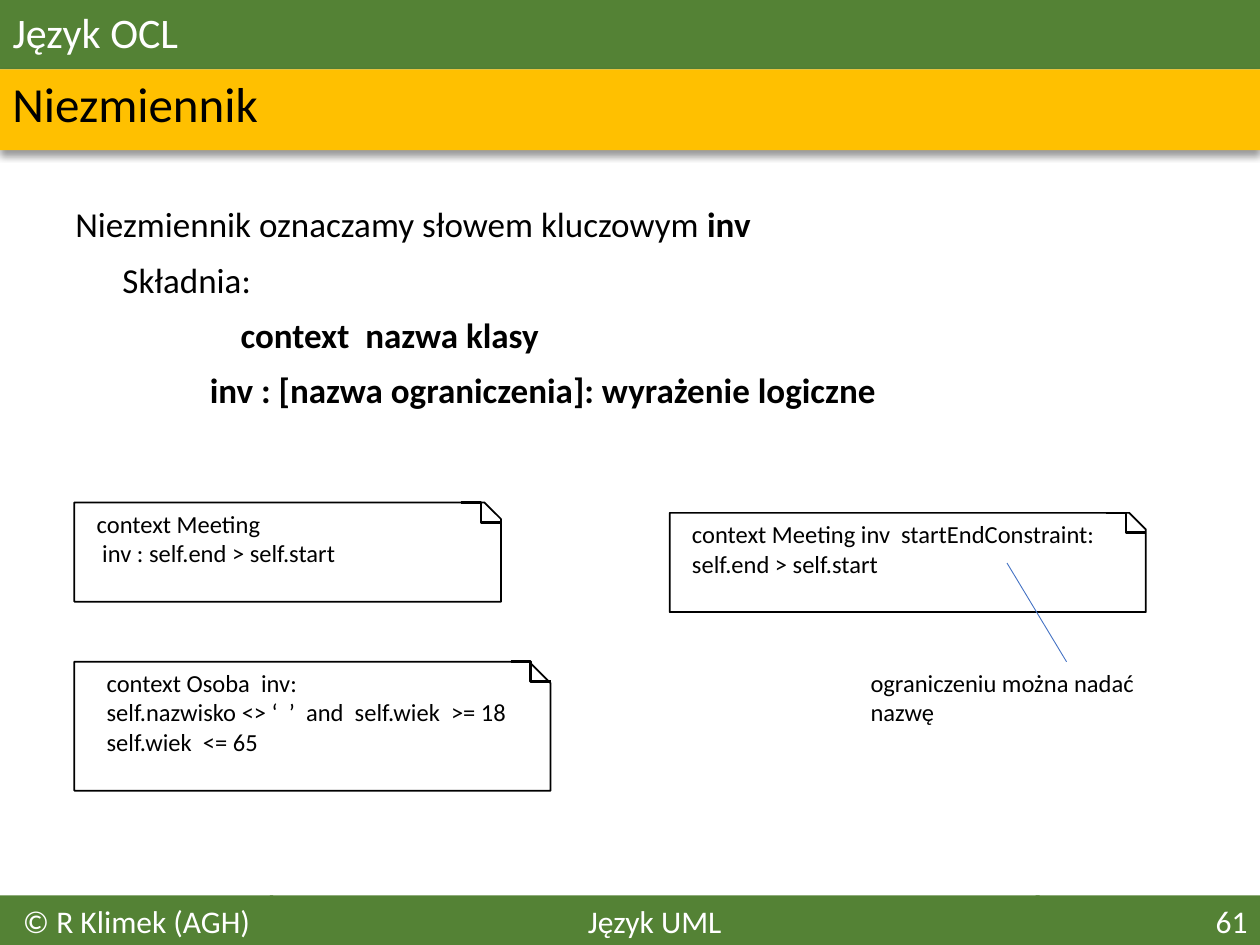
import pptx
import pptx.util
import pptx.dml.color
import pptx.enum.shapes
import pptx.enum.text
import pptx.oxml
import pptx.oxml.ns
import pptx.oxml.xmlchemy

Cm, Pt = pptx.util.Cm, pptx.util.Pt
RGB = pptx.dml.color.RGBColor
SHAPE = pptx.enum.shapes.MSO_SHAPE
LINK = pptx.enum.shapes.MSO_CONNECTOR
ALIGN = pptx.enum.text.PP_ALIGN
ANCHOR = pptx.enum.text.MSO_ANCHOR

GREEN = RGB(0x54, 0x82, 0x35)
AMBER = RGB(0xFF, 0xC0, 0x00)
BLUE = RGB(0x44, 0x72, 0xC4)
BLACK = RGB(0, 0, 0)
WHITE = RGB(0xFF, 0xFF, 0xFF)

NS = pptx.oxml.ns.nsdecls("a")
NO_SHADOW = f"<a:effectLst {NS}/>"
SHADOW = (
    f"<a:effectLst {NS}>"
    '<a:outerShdw blurRad="50800" dist="38100" dir="5400000" rotWithShape="0">'
    '<a:srgbClr val="000000"><a:alpha val="40000"/></a:srgbClr>'
    "</a:outerShdw></a:effectLst>"
)


def write(sp, lines, size, color=BLACK, anchor=ANCHOR.TOP, **para):
    tf = sp.text_frame
    tf.word_wrap = True
    tf.vertical_anchor = anchor
    for i, runs in enumerate(lines):
        p = tf.paragraphs[0] if i == 0 else tf.add_paragraph()
        fmt = {"alignment": ALIGN.LEFT, **para}
        if i == 0:
            fmt.pop("space_before", None)
        for key, value in fmt.items():
            setattr(p, key, value)
        for text, bold in runs:
            r = p.add_run()
            r.text = text
            for key, value in {"name": "Calibri", "size": Pt(size), "bold": bold}.items():
                setattr(r.font, key, value)
            r.font.color.rgb = color


def connect(kind, x1, y1, x2, y2, color, width):
    ln = s.shapes.add_connector(kind, Cm(x1), Cm(y1), Cm(x2), Cm(y2))
    ln.line.color.rgb = color
    ln.line.width = Pt(width)
    ln._element.spPr.append(pptx.oxml.parse_xml(NO_SHADOW))


prs = pptx.Presentation()
prs.slide_width, prs.slide_height = Cm(25.4), Cm(19.05)
s = prs.slides.add_slide(prs.slide_layouts[5])

sp = s.shapes.title
for key, value in {"left": 0, "top": 0, "width": Cm(25.4), "height": Cm(1.4)}.items():
    setattr(sp, key, value)
sp.fill.solid()
sp.fill.fore_color.rgb = GREEN
write(sp, [[("Język OCL", False)]], 24, WHITE, ANCHOR.MIDDLE, line_spacing=0.9)

sp = s.shapes.add_shape(SHAPE.RECTANGLE, 0, Cm(1.4), Cm(25.4), Cm(1.63))
sp.fill.solid()
sp.fill.fore_color.rgb = AMBER
sp.line.fill.background()
sp._element.spPr.append(pptx.oxml.parse_xml(SHADOW))
sp = s.shapes.add_textbox(0, Cm(1.4), Cm(25.35), Cm(1.5))
write(sp, [[("Niezmiennik", False)]], 28, BLACK, ANCHOR.MIDDLE, line_spacing=0.9)

footers = [
    (5.44, 15.52, "Język UML", ALIGN.CENTER),
    (0, 5.51, "© R Klimek (AGH)", ALIGN.CENTER),
    (20.88, 4.52, "61", ALIGN.RIGHT),
]
for x, w, text, align in footers:
    sp = s.shapes.add_shape(SHAPE.RECTANGLE, Cm(x), Cm(18.05), Cm(w), Cm(1))
    sp.shadow.inherit = False
    sp.fill.solid()
    sp.fill.fore_color.rgb = GREEN
    sp.line.fill.background()
    write(sp, [[(text, False)]], 18, WHITE, alignment=align)

syntax = [
    (0, [("Niezmiennik oznaczamy słowem kluczowym ", False), ("inv", True)]),
    (0.95, [("Składnia:", False)]),
    (3.33, [("context  nazwa klasy", True)]),
    (2.71, [("inv : [nazwa ograniczenia]: wyrażenie logiczne", True)]),
]
sp = s.shapes.add_textbox(Cm(1.27), Cm(4.06), Cm(22.86), Cm(12.57))
write(sp, [runs for _, runs in syntax], 20, line_spacing=0.9, space_before=Pt(10))
for p, (indent, _) in zip(sp.text_frame.paragraphs, syntax):
    p._p.get_or_add_pPr().set("marL", str(Cm(indent)))

notes = [
    (1.5, 10.13, 8.6, 2, 0.2, ["context Meeting", " inv : self.end > self.start"]),
    (1.5, 13.34, 9.6, 2.6, 0.4, ["context Osoba  inv:",
                                 "self.nazwisko <> ‘  ’  and  self.wiek  >= 18",
                                 "self.wiek  <= 65"]),
    (13.5, 10.34, 9.6, 2, 0.2, ["context Meeting inv  startEndConstraint: self.end > self.start"]),
]
for x, y, w, h, inset, lines in notes:
    sp = s.shapes.add_shape(SHAPE.SNIP_1_RECTANGLE, Cm(x), Cm(y), Cm(w), Cm(h))
    sp.shadow.inherit = False
    sp.fill.solid()
    sp.fill.fore_color.rgb = WHITE
    sp.line.color.rgb = BLACK
    sp.line.width = Pt(1)
    connect(LINK.ELBOW, x + w - 0.8, y, x + w, y + 0.4, BLACK, 1.5)
    sp = s.shapes.add_textbox(Cm(x + inset), Cm(y), Cm(w - inset - 0.2), Cm(h - 0.55))
    write(sp, [[(line, False)] for line in lines], 14)

connect(LINK.STRAIGHT, 20.3, 11.35, 21.5, 13.34, BLUE, 0.5)
sp = s.shapes.add_textbox(Cm(17.3), Cm(13.34), Cm(6), Cm(1.45))
write(sp, [[("ograniczeniu można nadać nazwę", False)]], 14)

prs.save("out.pptx")
